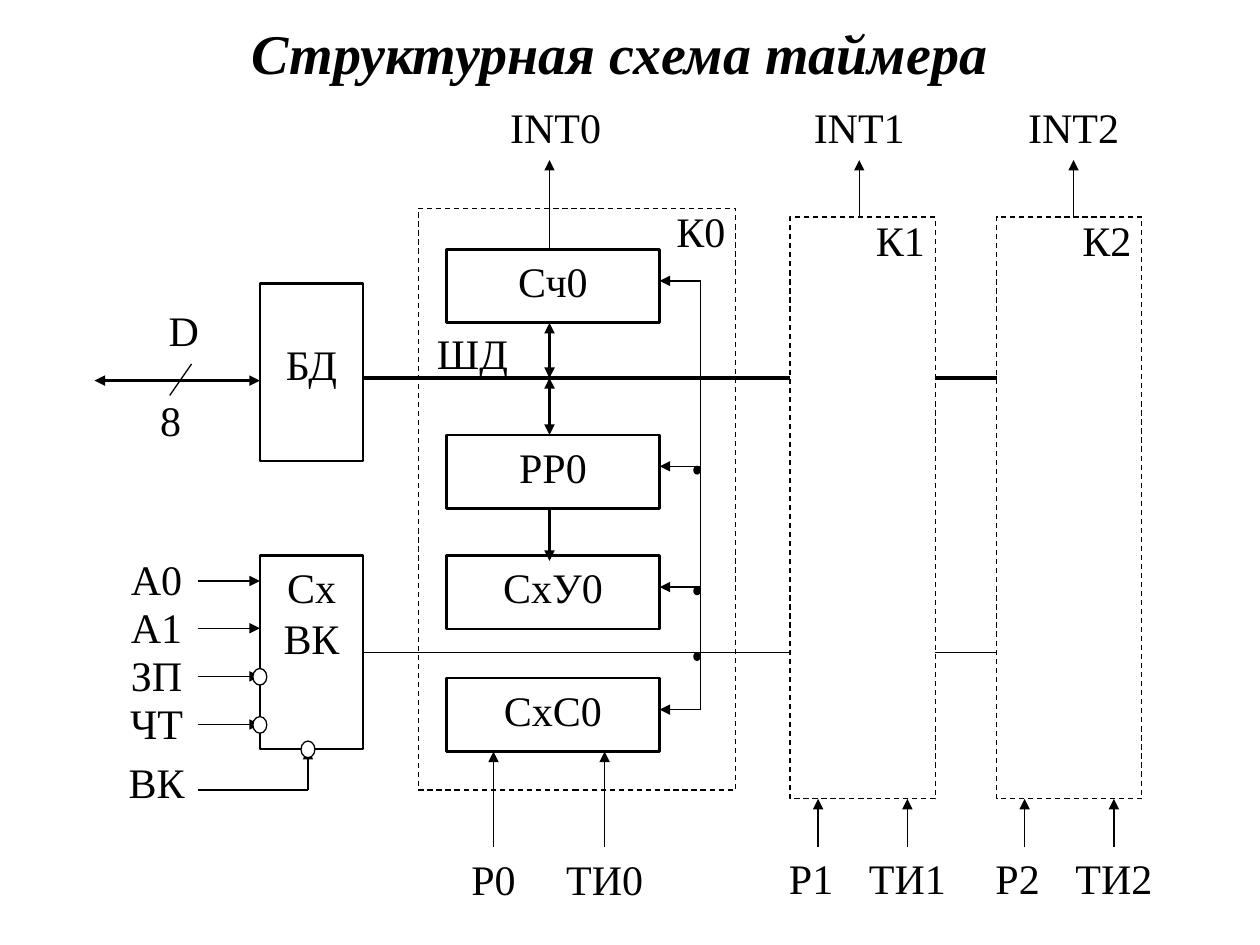
from lxml import etree
from pptx import Presentation
from pptx.dml.color import RGBColor
from pptx.enum.dml import MSO_LINE
from pptx.enum.shapes import MSO_CONNECTOR, MSO_SHAPE
from pptx.enum.text import MSO_ANCHOR, PP_ALIGN
from pptx.oxml.ns import qn
from pptx.util import Pt

RECT, OVAL = MSO_SHAPE.RECTANGLE, MSO_SHAPE.OVAL
STRAIGHT = MSO_CONNECTOR.STRAIGHT
DASH = MSO_LINE.DASH
CENTER = PP_ALIGN.CENTER
TOP, MIDDLE = MSO_ANCHOR.TOP, MSO_ANCHOR.MIDDLE

COLORS = {"ink": "000000", "paper": "FFFFFF"}
LABEL_FONT = {"name": "Times New Roman", "size": Pt(24)}
TITLE_FONT = {"name": "Times New Roman", "size": Pt(32), "bold": True, "italic": True}

THIN, OUTLINE, BUS = 0.75, 1.5, 2
HEAD, TAIL = "headEnd", "tailEnd"
LABEL_H = 37.5
BUFFER_X, BUFFER_W = 148.5, 59
BUFFER_RIGHT = BUFFER_X + BUFFER_W
BLOCK_X, BLOCK_W, BLOCK_H = 255, 122, 42
BLOCKS = {"Сч0": 142.5, "РР0": 248.5, "СхУ0": 317.5, "СхС0": 387.5}
DATA_Y, CONTROL_Y = 216, 373
COUNTER_X, FEED_X = 314, 400.5
CHANNEL_W, CHANNEL_TOP, CHANNEL_H = 83, 124, 332.5
CHANNELS = {1: 451.5, 2: 569.5}


def color(name):
    return RGBColor.from_string(COLORS[name])


def write(sp, lines, font=LABEL_FONT, anchor=TOP, inset_top=3.6):
    tf = sp.text_frame
    tf.word_wrap = True
    tf.vertical_anchor = anchor
    tf.margin_top = Pt(inset_top)
    for i, text in enumerate(lines):
        p = tf.paragraphs[0] if i == 0 else tf.add_paragraph()
        p.alignment = CENTER
        r = p.add_run()
        r.text = text
        for key, value in font.items():
            setattr(r.font, key, value)
        r.font.color.rgb = color("ink")


def add_label(s, text, center_x, y, w=70.5):
    box = s.shapes.add_textbox(Pt(center_x - w / 2), Pt(y), Pt(w), Pt(LABEL_H))
    write(box, [text])


def add_shape(s, kind, x, y, w, h, weight=THIN, fill=None, dash=None):
    sp = s.shapes.add_shape(kind, Pt(x), Pt(y), Pt(w), Pt(h))
    sp.shadow.inherit = False
    if fill:
        sp.fill.solid()
        sp.fill.fore_color.rgb = color(fill)
    else:
        sp.fill.background()
    sp.line.color.rgb = color("ink")
    sp.line.width = Pt(weight)
    if dash:
        sp.line.dash_style = dash
    return sp


def add_line(s, x1, y1, x2, y2, weight=THIN, ends=()):
    """Straight line; ends lists which ends carry an arrowhead."""
    line = s.shapes.add_connector(STRAIGHT, Pt(x1), Pt(y1), Pt(x2), Pt(y2))
    line.line.color.rgb = color("ink")
    line.line.width = Pt(weight)
    sp_pr = line.line._get_or_add_ln().getparent()
    for end in ends:
        etree.SubElement(line.line._get_or_add_ln(), qn(f"a:{end}"), type="triangle")
    etree.SubElement(sp_pr, qn("a:effectLst"))


def add_data_buffer(s):
    add_label(s, "D", 105, 170.5)
    add_label(s, "8", 97.5, 222, 40)
    write(add_shape(s, RECT, BUFFER_X, 162, BUFFER_W, 101.5, OUTLINE), ["БД"], inset_top=31.2)
    add_line(s, BUFFER_X, 217.5, 54, 217.5, BUS, (HEAD, TAIL))
    add_line(s, 109.5, 208, 97, 226)


def add_control_logic(s):
    write(add_shape(s, RECT, BUFFER_X, 317.5, BUFFER_W, 110.5, OUTLINE), ["Cх", "ВК"])
    inputs = {"А0": 332, "А1": 359, "ЗП": 386.5, "ЧТ": 414}
    for text, y in inputs.items():
        add_label(s, text, 89.5, y - 19, 55.5)
        add_line(s, 113, y, BUFFER_X, y, ends=(TAIL,))
    add_label(s, "ВК", 89.5, 428.5, 55.5)
    add_line(s, 113, 451.5, 176, 451.5)
    add_line(s, 176, 451.5, 176, 428, ends=(TAIL,))
    inverted = [(BUFFER_X, inputs["ЗП"]), (BUFFER_X, inputs["ЧТ"]), (176, 428)]
    for x, y in inverted:
        add_shape(s, OVAL, x - 4, y - 4.5, 8, 9.5, fill="paper")


def add_buses(s):
    first, second = CHANNELS.values()
    for y, weight in ((DATA_Y, BUS), (CONTROL_Y, THIN)):
        add_line(s, first, y, BUFFER_RIGHT, y, weight)
        add_line(s, second, y, first + CHANNEL_W, y, weight)
    add_label(s, "ШД", 270, 183.5)


def add_detailed_channel(s):
    add_shape(s, RECT, 239, 119, 181.5, 332.5, dash=DASH)
    add_label(s, "К0", FEED_X, 114)
    add_label(s, "INT0", 317.5, 54.5)
    feeds = [y + 18 for y in BLOCKS.values()]
    add_line(s, FEED_X, feeds[0], FEED_X, feeds[-1])
    for (text, y), feed in zip(BLOCKS.items(), feeds):
        write(add_shape(s, RECT, BLOCK_X, y, BLOCK_W, BLOCK_H, OUTLINE), [text])
        add_line(s, FEED_X, feed, BLOCK_X + BLOCK_W, feed, ends=(TAIL,))
    for y in (*feeds[1:3], CONTROL_Y):
        add_shape(s, OVAL, FEED_X - 4, y, 3.6, 4.3, fill="ink")

    counter, register, control, sync = BLOCKS.values()
    add_line(s, COUNTER_X, counter, COUNTER_X, 91.5, ends=(TAIL,))
    add_line(s, COUNTER_X, counter + BLOCK_H, COUNTER_X, DATA_Y, BUS, (HEAD, TAIL))
    add_line(s, COUNTER_X, DATA_Y, COUNTER_X, register, BUS, (HEAD, TAIL))
    add_line(s, COUNTER_X, register + BLOCK_H, COUNTER_X, control + 3, BUS, (TAIL,))
    for text, x in (("P0", 282), ("ТИ0", 345.5)):
        add_line(s, x, 484, x, sync + BLOCK_H, ends=(TAIL,))
        add_label(s, text, x, 484)


def add_channel(s, number, x, output_dx):
    bottom = CHANNEL_TOP + CHANNEL_H
    add_shape(s, RECT, x, CHANNEL_TOP, CHANNEL_W, CHANNEL_H, dash=DASH)
    add_label(s, f"К{number}", x + 63, 119)
    add_line(s, x + output_dx, CHANNEL_TOP, x + output_dx, 91.5, ends=(TAIL,))
    add_label(s, f"INT{number}", x + output_dx, 54.5)
    for name, arrow_dx, label_dx in (("P", 16, 12), ("ТИ", 67, 67)):
        add_line(s, x + arrow_dx, 484, x + arrow_dx, bottom, ends=(TAIL,))
        add_label(s, f"{name}{number}", x + label_dx, 483.5)


def main():
    prs = Presentation()
    prs.slide_width, prs.slide_height = Pt(720), Pt(540)
    s = prs.slides.add_slide(prs.slide_layouts[6])
    title = s.shapes.add_textbox(Pt(24), Pt(6), Pt(660), Pt(48))
    write(title, ["Структурная схема таймера"], TITLE_FONT, MIDDLE)
    add_buses(s)
    add_data_buffer(s)
    add_control_logic(s)
    add_detailed_channel(s)
    for (number, x), output_dx in zip(CHANNELS.items(), (39.5, 44)):
        add_channel(s, number, x, output_dx)
    prs.save("out.pptx")


if __name__ == "__main__":
    main()
